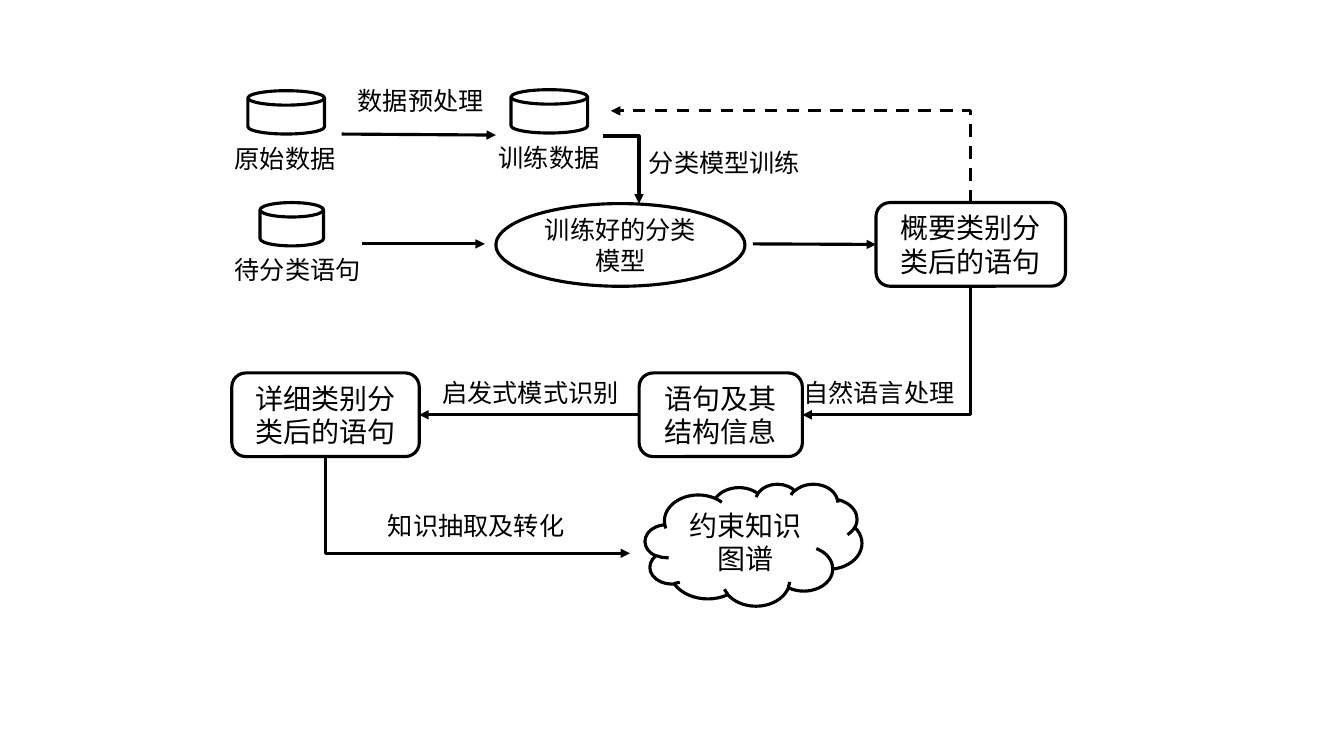
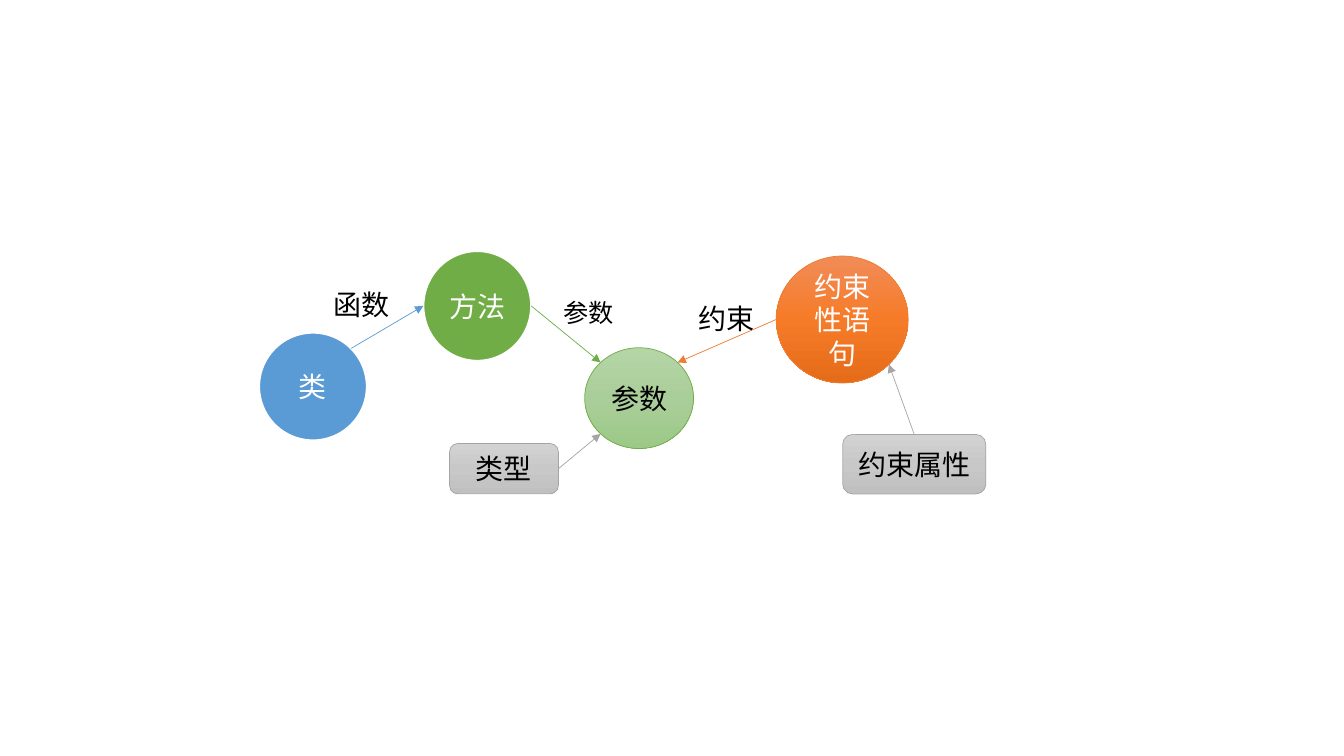
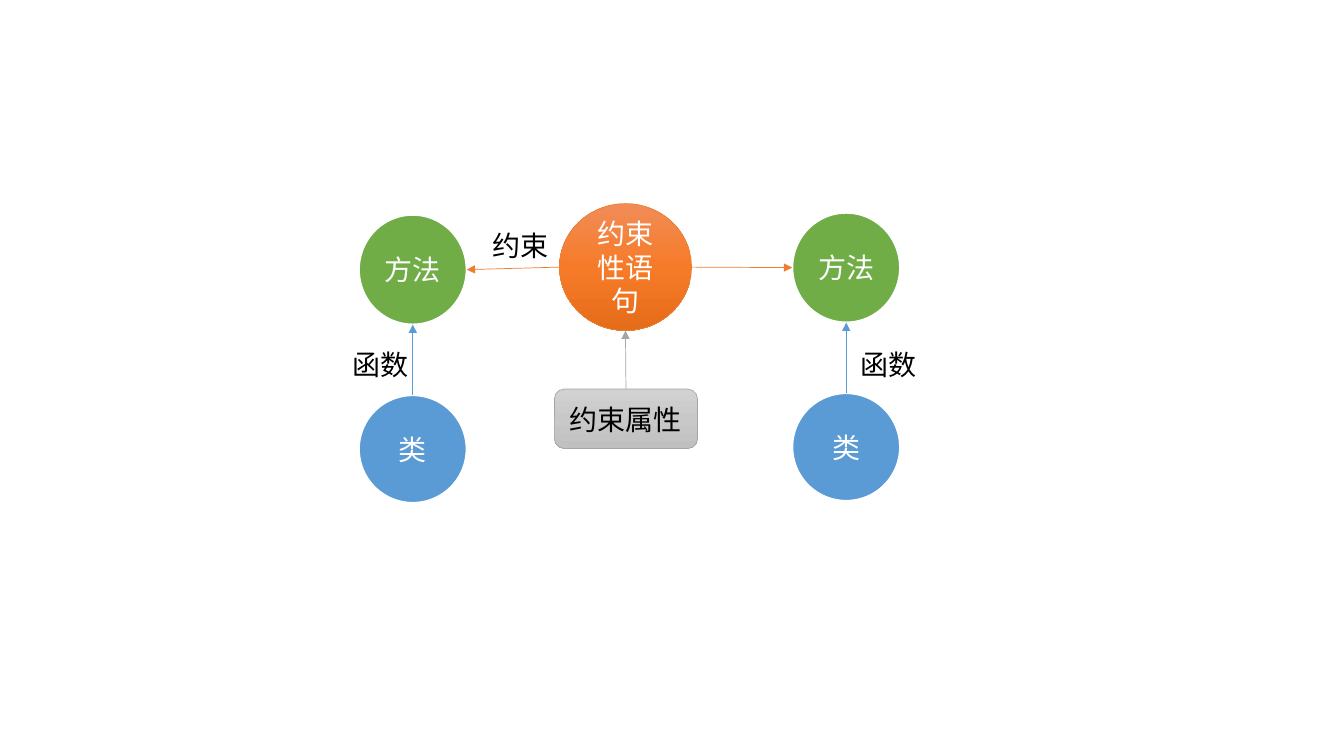
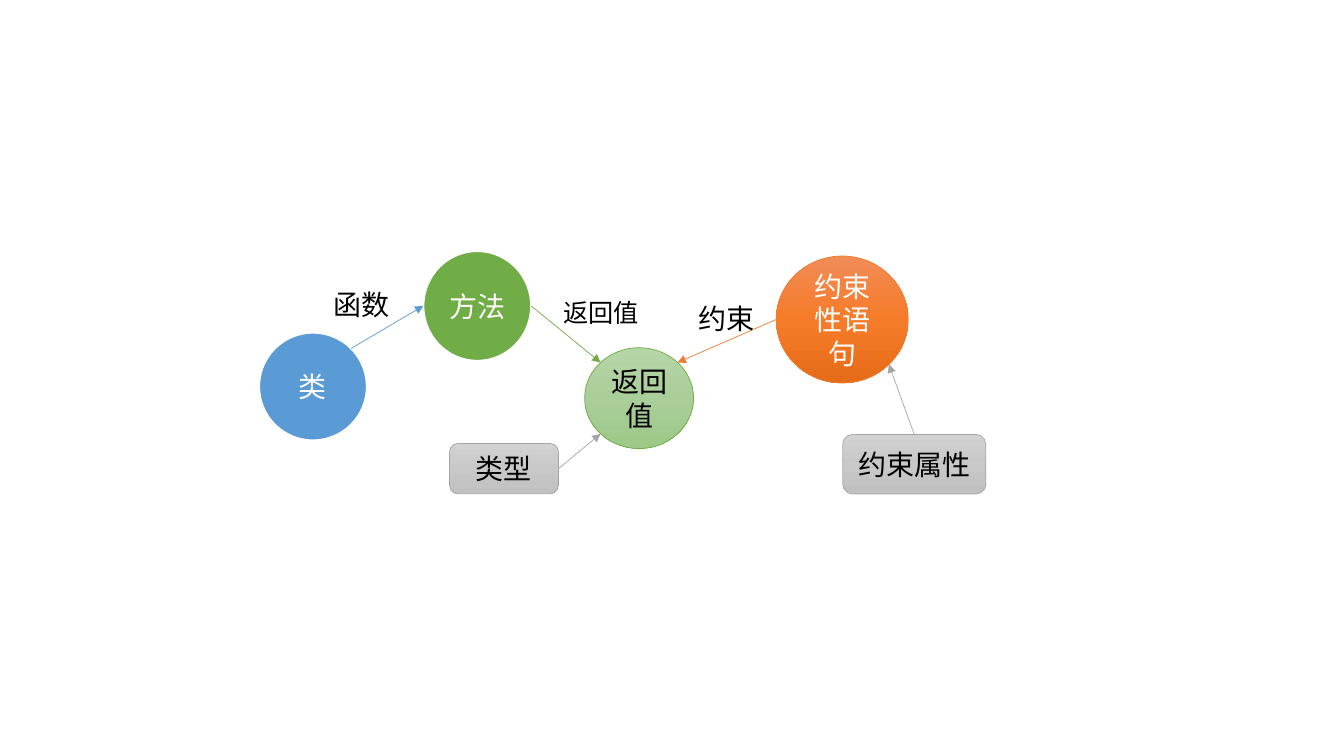
from math import hypot
from typing import NamedTuple

from lxml.etree import SubElement
from pptx import Presentation
from pptx.dml.color import RGBColor
from pptx.enum.dml import MSO_LINE
from pptx.enum.shapes import MSO_CONNECTOR, MSO_SHAPE
from pptx.enum.text import MSO_ANCHOR, MSO_AUTO_SIZE, PP_ALIGN
from pptx.oxml import parse_xml
from pptx.oxml.ns import nsdecls, qn
from pptx.util import Inches, Pt

CELL = Inches(0.1)
COLUMNS, ROWS = 133.33, 75
FONT, NODE_FONT = "Noto Sans CJK SC", "Arial"
COLOURS = {
    "ink": "000000", "white": "FFFFFF", "blue": "5B9BD5",
    "green": "70AD47", "orange": "ED7D31", "grey": "A5A5A5",
}
GRADIENTS = {
    "green": ("B5D5A7", "AACE9A", "9CC987"),
    "orange": ("F18C57", "F67B28", "E56C19"),
    "grey": ("D2D2D2", "C8C8C8", "C0C0C0"),
}
DIRECTIONS = {
    "top": (0, -1), "left": (-1, 0), "bottom": (0, 1), "right": (1, 0),
    "top left": (-1, -1), "top right": (1, -1),
    "bottom left": (-1, 1), "bottom right": (1, 1),
}
SITES = {"top": 0, "left": 1, "bottom": 2, "right": 3}


class Kind(NamedTuple):
    """The look of one kind of graph node."""

    preset: MSO_SHAPE
    width: float
    height: float
    fill: str
    gradient: bool
    outline: str
    weight: float
    ink: str
    font: str


KINDS = {
    "class": Kind(MSO_SHAPE.OVAL, 10.7, 10.7, "blue", False, "white", 1.5, "white", NODE_FONT),
    "method": Kind(MSO_SHAPE.OVAL, 10.7, 10.9, "green", False, "white", 1.5, "white", NODE_FONT),
    "value": Kind(MSO_SHAPE.OVAL, 10.8, 10, "green", True, "green", 0.5, "ink", NODE_FONT),
    "sentence": Kind(MSO_SHAPE.OVAL, 13.1, 12.6, "orange", True, "orange", 0.5, "white", NODE_FONT),
    "attribute": Kind(MSO_SHAPE.ROUNDED_RECTANGLE, 14.2, 5.9, "grey", True, "grey", 0.5, "ink", FONT),
    "type": Kind(MSO_SHAPE.ROUNDED_RECTANGLE, 10.8, 5, "grey", True, "grey", 0.5, "ink", FONT),
}


def cells(*counts):
    """Turn counts of grid cells into slide lengths."""
    return [round(count * CELL) for count in counts]


def colour(name):
    """Look up a named colour."""
    return RGBColor.from_string(COLOURS[name])


def add_text(paragraph, text, size, ink="ink", font=FONT):
    """Add one run of Chinese text to a paragraph."""
    run = paragraph.add_run()
    run.text = text
    run.font.size = Pt(size)
    run.font.name = font
    run.font.color.rgb = colour(ink)
    properties = run.font._element
    properties.set("lang", "zh-CN")
    SubElement(properties, qn("a:ea")).set("typeface", font)


def add_label(slide, text, left, top, size=18):
    """Add a one-line label whose box follows from its text."""
    width = len(text) * size / 7.2 + 2
    height = size * 0.2 + 0.4
    box = slide.shapes.add_textbox(*cells(left, top, width, height))
    box.text_frame.word_wrap = False
    box.text_frame.auto_size = MSO_AUTO_SIZE.SHAPE_TO_FIT_TEXT
    add_text(box.text_frame.paragraphs[0], text, size)


def add_outline(slide, preset, left, top, width, height, outline="ink", weight=2.25):
    """Add an unfilled preset shape."""
    shape = slide.shapes.add_shape(preset, *cells(left, top, width, height))
    shape.shadow.inherit = False
    shape.fill.background()
    shape.line.color.rgb = colour(outline)
    shape.line.width = Pt(weight)
    return shape


def write_centred(shape, text, size=20, ink="ink", font=FONT):
    """Write wrapped text in the middle of a shape."""
    frame = shape.text_frame
    frame.word_wrap = True
    frame.vertical_anchor = MSO_ANCHOR.MIDDLE
    frame.paragraphs[0].alignment = PP_ALIGN.CENTER
    add_text(frame.paragraphs[0], text, size, ink, font)


def add_step(slide, preset, text, left, top, width, height, size=20):
    """Add an outlined step of the process."""
    shape = add_outline(slide, preset, left, top, width, height)
    write_centred(shape, text, size)
    return shape


def fill_gradient(shape, stops):
    """Give an unfilled shape a three-stop gradient from top to bottom."""
    marks = "".join(
        f'<a:gs pos="{index * 50000}"><a:srgbClr val="{stop}"/></a:gs>'
        for index, stop in enumerate(stops)
    )
    gradient = parse_xml(
        f'<a:gradFill {nsdecls("a")} rotWithShape="1"><a:gsLst>{marks}</a:gsLst>'
        '<a:lin ang="5400000" scaled="0"/></a:gradFill>'
    )
    properties = shape._element.spPr
    properties.replace(properties.find(qn("a:noFill")), gradient)


def add_node(slide, kind_name, text, left, top):
    """Add a graph node of a named kind."""
    kind = KINDS[kind_name]
    shape = add_outline(slide, kind.preset, left, top, kind.width, kind.height,
                        kind.outline, kind.weight)
    if kind.gradient:
        fill_gradient(shape, GRADIENTS[kind.fill])
    else:
        shape.fill.solid()
        shape.fill.fore_color.rgb = colour(kind.fill)
    write_centred(shape, text, ink=kind.ink, font=kind.font)
    return shape


def style_arrow(connector, ink, weight):
    """Colour a connector, remove its shadow and give it an arrowhead."""
    connector.line.color.rgb = colour(ink)
    connector.line.width = Pt(weight)
    SubElement(connector.line._get_or_add_ln(), qn("a:tailEnd")).set("type", "triangle")
    SubElement(connector._element.spPr, qn("a:effectLst"))


def locate(end):
    """Find the point of a grid position or of a side of a shape."""
    place, side = end
    if isinstance(place, (int, float)):
        return cells(place, side)
    across, down = DIRECTIONS[side]
    reach = 2 * hypot(across, down)
    return [round(place.left + place.width * (0.5 + across / reach)),
            round(place.top + place.height * (0.5 + down / reach))]


def is_rectangle(place):
    """Tell whether an end lies on a rounded rectangle."""
    return getattr(place, "auto_shape_type", None) == MSO_SHAPE.ROUNDED_RECTANGLE


def add_arrow(slide, start, end, ink="ink", weight=2.25):
    """Add a straight arrow, joined to any rectangle it touches."""
    connector = slide.shapes.add_connector(MSO_CONNECTOR.STRAIGHT, *locate(start), *locate(end))
    for (place, side), connect in ((start, connector.begin_connect), (end, connector.end_connect)):
        if is_rectangle(place):
            connect(place, SITES[side])
    style_arrow(connector, ink, weight)


def add_elbow(slide, start, end, turn=0, dashed=False):
    """Add a one-bend arrow; a turn of 90 or 270 makes it leave vertically."""
    (start_x, start_y), (end_x, end_y) = locate(start), locate(end)
    middle_x, middle_y = (start_x + end_x) // 2, (start_y + end_y) // 2
    across, down = start_x - middle_x, start_y - middle_y
    if turn:
        sign = 1 if turn == 90 else -1
        across, down = sign * down, -sign * across
    connector = slide.shapes.add_connector(
        MSO_CONNECTOR.ELBOW, middle_x + across, middle_y + down,
        middle_x - across, middle_y - down)
    properties = connector._element.spPr
    properties.find(qn("a:prstGeom")).set("prst", "bentConnector2")
    if turn:
        properties.find(qn("a:xfrm")).set("rot", str(turn * 60000))
    if dashed:
        connector.line.dash_style = MSO_LINE.DASH
    style_arrow(connector, "ink", 2.25)


def build_process(slide):
    """Draw the process from raw data to the knowledge graph."""
    for left, top, width in ((25.8, 20.1, 6.3), (24.6, 9, 7.6), (50.7, 8.9, 7.6)):
        add_outline(slide, MSO_SHAPE.FLOWCHART_MAGNETIC_DISK, left, top, width, 4.3)
    box = MSO_SHAPE.ROUNDED_RECTANGLE
    summary = add_step(slide, box, "概要类别分类后的语句", 86.9, 20.1, 18.8, 8.3)
    structure = add_step(slide, box, "语句及其结构信息", 63.4, 37, 16.2, 8.3)
    detail = add_step(slide, box, "详细类别分类后的语句", 23, 37, 18.6, 8.3)
    add_step(slide, MSO_SHAPE.OVAL, "训练好的分类模型", 49.2, 20.2, 24.7, 8.2, 18)
    add_step(slide, MSO_SHAPE.CLOUD, "约束知识图谱", 64, 48, 21.5, 12.1)
    add_arrow(slide, (35.9, 24.2), (48.1, 24.2))
    add_arrow(slide, (74.7, 24.2), (summary, "left"))
    add_arrow(slide, (33.9, 13.3), (49.2, 13.4))
    add_arrow(slide, (structure, "left"), (detail, "right"))
    add_elbow(slide, (59.8, 13.5), (63.4, 20.2))
    add_elbow(slide, (summary, "bottom"), (structure, "right"), 90)
    add_elbow(slide, (detail, "bottom"), (62.5, 54.9), 270)
    add_elbow(slide, (summary, "top"), (60.6, 11), 270, dashed=True)
    for text, left, top in (
        ("待分类语句", 22.3, 24.7), ("原始数据", 22.3, 13.7), ("训练数据", 48.5, 13.6),
        ("数据预处理", 34.5, 8), ("分类模型训练", 63.4, 14.1), ("自然语言处理", 78.7, 36.9),
        ("启发式模式识别", 42.9, 36.9), ("知识抽取及转化", 37.5, 50.1),
    ):
        add_label(slide, text, left, top)


def build_value_graph(slide, value_name):
    """Draw the graph in which a sentence constrains a value of a method."""
    class_node = add_node(slide, "class", "类", 25.7, 33)
    method = add_node(slide, "method", "方法", 42, 24.9)
    value = add_node(slide, "value", value_name, 58, 34.5)
    sentence = add_node(slide, "sentence", "约束性语句", 77, 25.4)
    attribute = add_node(slide, "attribute", "约束属性", 83.6, 43.1)
    type_node = add_node(slide, "type", "类型", 44.6, 44)
    for start, end, ink in (
        ((class_node, "top right"), (method, "left"), "blue"),
        ((method, "right"), (value, "top left"), "green"),
        ((sentence, "left"), (value, "top right"), "orange"),
        ((attribute, "top"), (sentence, "bottom right"), "grey"),
        ((type_node, "right"), (value, "bottom left"), "grey"),
    ):
        add_arrow(slide, start, end, ink, 0.5)
    add_label(slide, "函数", 32.1, 28, 20)
    add_label(slide, value_name, 54.9, 29)
    add_label(slide, "约束", 68.3, 29.4, 20)


def build_method_graph(slide):
    """Draw the graph in which a sentence constrains two methods."""
    sentence = add_node(slide, "sentence", "约束性语句", 55.5, 20.2)
    attribute = add_node(slide, "attribute", "约束属性", 55, 38.6)
    add_arrow(slide, (attribute, "top"), (sentence, "bottom"), "grey", 0.5)
    for left, top, label_left, near, far in (
        (35.6, 21.3, 34, "left", "right"),
        (78.6, 21.1, 84.4, "right", "left"),
    ):
        method = add_node(slide, "method", "方法", left, top)
        class_node = add_node(slide, "class", "类", left, top + 17.9)
        add_arrow(slide, (class_node, "top"), (method, "bottom"), "blue", 0.5)
        add_arrow(slide, (sentence, near), (method, far), "orange", 0.5)
        add_label(slide, "函数", label_left, 34, 20)
    add_label(slide, "约束", 47.9, 22.2, 20)


def main():
    """Build the four slides and save them."""
    presentation = Presentation()
    presentation.slide_width, presentation.slide_height = cells(COLUMNS, ROWS)
    blank = presentation.slide_layouts[6]
    slides = [presentation.slides.add_slide(blank) for _ in range(4)]
    build_process(slides[0])
    build_value_graph(slides[1], "参数")
    build_method_graph(slides[2])
    build_value_graph(slides[3], "返回值")
    presentation.save("out.pptx")


if __name__ == "__main__":
    main()
